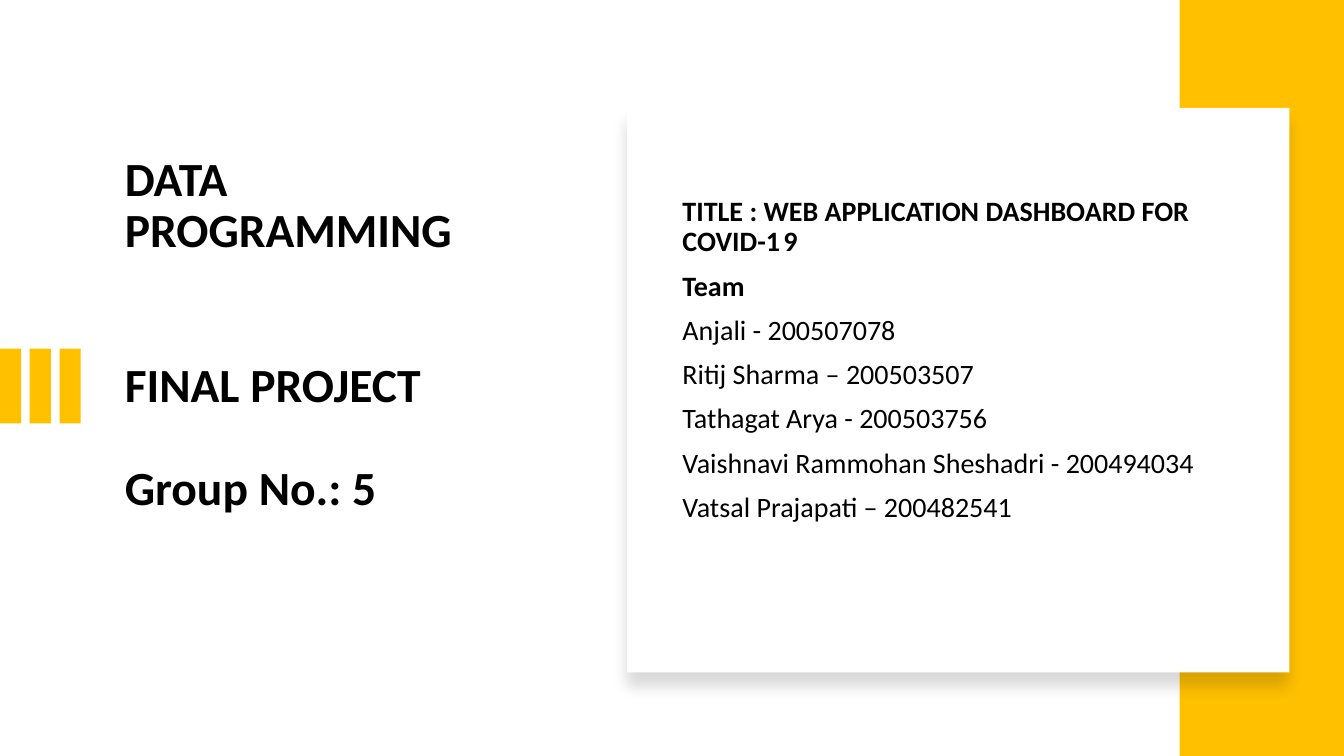
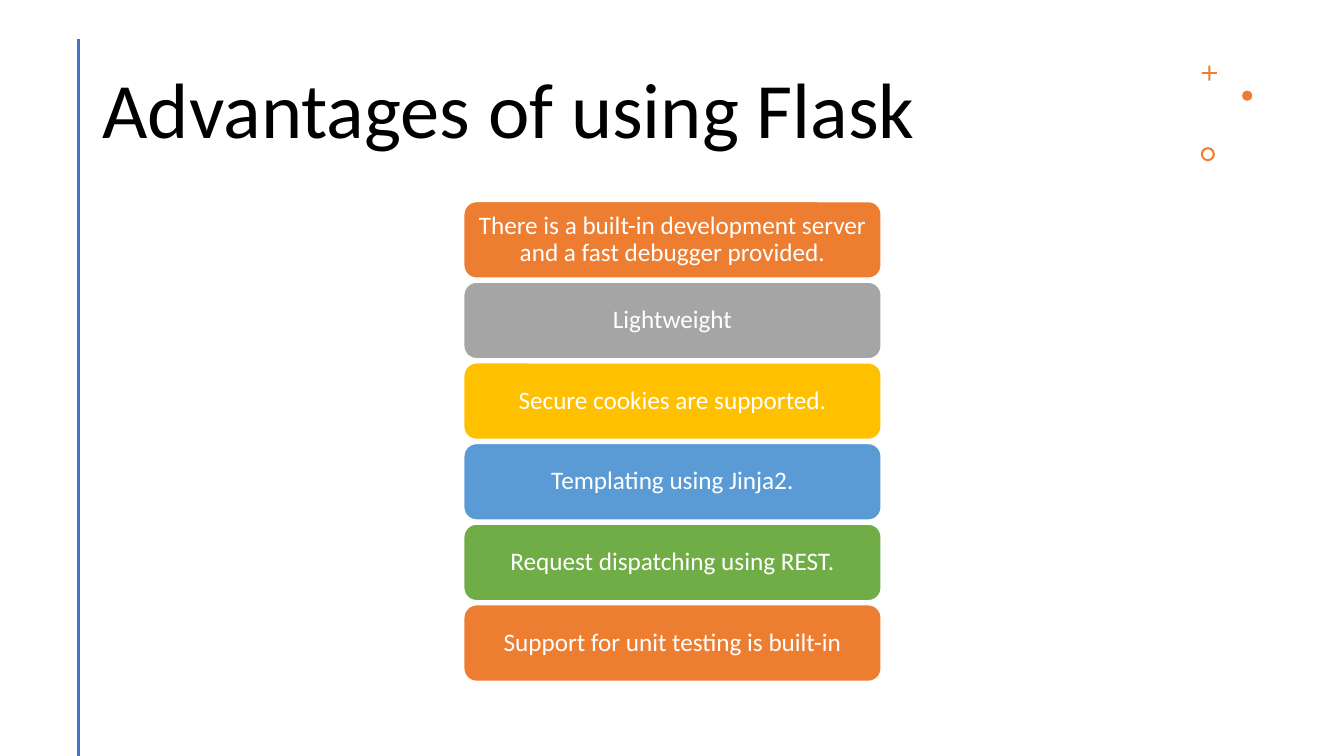
import pptx
import pptx.dml.color
import pptx.enum.shapes
import pptx.enum.text
import pptx.oxml
import pptx.oxml.ns
import pptx.util
from pptx.util import Inches

RGBColor = pptx.dml.color.RGBColor
Pt = pptx.util.Pt
SHAPE = pptx.enum.shapes.MSO_SHAPE
ANCHOR = pptx.enum.text.MSO_ANCHOR
ALIGN = pptx.enum.text.PP_ALIGN
qn = pptx.oxml.ns.qn

BLACK = RGBColor(0x00, 0x00, 0x00)
WHITE = RGBColor(0xFF, 0xFF, 0xFF)
GOLD = RGBColor(0xFF, 0xC0, 0x00)
ORANGE = RGBColor(0xED, 0x7D, 0x31)
GRAY = RGBColor(0xA5, 0xA5, 0xA5)
SKY = RGBColor(0x5B, 0x9B, 0xD5)
GREEN = RGBColor(0x70, 0xAD, 0x47)
BLUE = RGBColor(0x44, 0x72, 0xC4)

FONT = "Calibri"
SLIDE_W, SLIDE_H = 13.33, 7.5

HEADINGS = ["DATA PROGRAMMING", "FINAL PROJECT", "Group No.: 5"]
HEADING_GAPS = [0, 74, 37]
TEAM_HEADINGS = ["TITLE : WEB APPLICATION DASHBOARD FOR COVID-1\t9", "Team"]
MEMBERS = [
    "Anjali - 200507078",
    "Ritij Sharma – 200503507",
    "Tathagat Arya - 200503756",
    "Vaishnavi Rammohan Sheshadri - 200494034",
    "Vatsal Prajapati – 200482541",
]
ADVANTAGES = [
    ("There is a built-in development server and a fast debugger provided.", ORANGE),
    ("Lightweight", GRAY),
    ("Secure cookies are supported.", GOLD),
    ("Templating using Jinja2.", SKY),
    ("Request dispatching using REST.", GREEN),
    ("Support for unit testing is built-in", ORANGE),
]

SHADOW = (
    '<a:outerShdw xmlns:a="http://schemas.openxmlformats.org/drawingml/2006/main" '
    'blurRad="139700" dist="127000" dir="5400000" algn="t" rotWithShape="0">'
    '<a:srgbClr val="000000"><a:alpha val="15000"/></a:srgbClr></a:outerShdw>'
)


def add_slide(prs):
    return prs.slides.add_slide(prs.slide_layouts[6])


def add_filled(s, kind, x, y, w, h, color, adjust=None):
    sp = s.shapes.add_shape(kind, Inches(x), Inches(y), Inches(w), Inches(h))
    sp.shadow.inherit = False
    sp.fill.solid()
    sp.fill.fore_color.rgb = color
    sp.line.fill.background()
    if adjust is not None:
        sp.adjustments[0] = adjust
    return sp


def format_paragraph(p, text, size, color=BLACK, bold=False, before=0):
    p.text = text
    p.line_spacing = 0.9
    p.space_before = Pt(before)
    for r in p.runs:
        r.font.name = FONT
        r.font.size = Pt(size)
        r.font.bold = bold
        r.font.color.rgb = color


def add_text(s, x, y, w, h, lines, size, anchor=ANCHOR.TOP):
    """Add a text box; each line is (text, bold, points before)."""
    tf = s.shapes.add_textbox(Inches(x), Inches(y), Inches(w), Inches(h)).text_frame
    tf.word_wrap = True
    tf.vertical_anchor = anchor
    for i, (text, bold, before) in enumerate(lines):
        p = tf.add_paragraph() if i else tf.paragraphs[0]
        format_paragraph(p, text, size, bold=bold, before=before)


def add_card(s, x, y, w, h):
    sp = add_filled(s, SHAPE.RECTANGLE, x, y, w, h, WHITE)
    effects = sp.element.spPr.find(qn("a:effectLst"))
    effects.append(pptx.oxml.parse_xml(SHADOW))


def add_rule(s, x, top, bottom):
    line = s.shapes.add_connector(pptx.enum.shapes.MSO_CONNECTOR.STRAIGHT,
                                  Inches(x), Inches(top), Inches(x), Inches(bottom))
    line.line.color.rgb = BLUE
    line.line.width = Pt(2)
    line.element.spPr.append(line.element.makeelement(qn("a:effectLst"), {}))


def add_pill(s, x, y, w, h, text, color):
    sp = add_filled(s, SHAPE.ROUNDED_RECTANGLE, x, y, w, h, color)
    sp.line.color.rgb = WHITE
    sp.line.width = Pt(1)
    tf = sp.text_frame
    tf.word_wrap = True
    tf.vertical_anchor = ANCHOR.MIDDLE
    tf.margin_left = tf.margin_right = Inches(0.07)
    tf.margin_top = tf.margin_bottom = Inches(0.04)
    p = tf.paragraphs[0]
    format_paragraph(p, text, 18, WHITE)
    p.alignment = ALIGN.CENTER


def build_cover(prs):
    s = add_slide(prs)
    add_text(s, 1.14, 1.49, 4.26, 4.76,
             [(text, True, gap) for text, gap in zip(HEADINGS, HEADING_GAPS)], 34)
    for i in range(3):
        add_filled(s, SHAPE.RECTANGLE, i * 0.59 / 2, 3.46, 0.21, 0.74, GOLD)
    add_filled(s, SHAPE.RECTANGLE, 11.7, 0, SLIDE_W - 11.7, SLIDE_H, GOLD)
    add_card(s, 6.22, 1.07, 6.57, 5.6)
    add_text(s, 6.67, 1.91, 5.75, 4.34,
             [(text, True, 10) for text in TEAM_HEADINGS]
             + [(text, False, 10) for text in MEMBERS], 20)


def build_advantages(prs):
    s = add_slide(prs)
    add_text(s, 0.92, 0.4, 10.76, 1.45,
             [("Advantages of using Flask", False, 0)], 56, ANCHOR.MIDDLE)
    add_rule(s, 0.78, 0.39, SLIDE_H)
    add_filled(s, SHAPE.CROSS, 11.92, 0.65, 0.15, 0.15, ORANGE, 0.44)
    add_filled(s, SHAPE.OVAL, 12.32, 0.9, 0.1, 0.1, ORANGE)
    add_filled(s, SHAPE.DONUT, 11.91, 1.46, 0.14, 0.14, ORANGE, 0.15)
    for i, (text, color) in enumerate(ADVANTAGES):
        add_pill(s, 4.6, 2 + i * 0.8, 4.14, 0.76, text, color)


def main():
    prs = pptx.Presentation()
    prs.slide_width = Inches(SLIDE_W)
    prs.slide_height = Inches(SLIDE_H)
    build_cover(prs)
    build_advantages(prs)
    prs.save("out.pptx")


if __name__ == "__main__":
    main()
